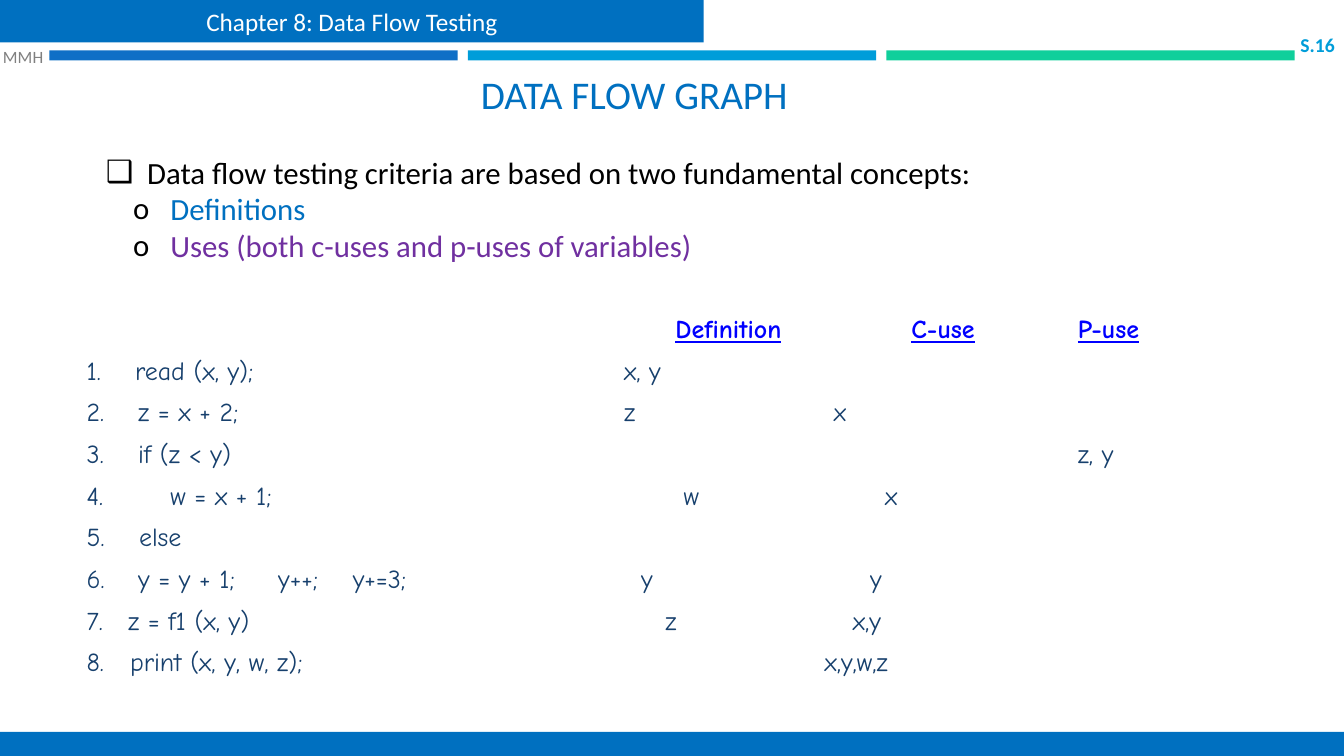
from lxml import etree
from pptx import Presentation
from pptx.dml.color import RGBColor
from pptx.enum.shapes import MSO_SHAPE
from pptx.enum.text import MSO_ANCHOR, MSO_AUTO_SIZE, PP_ALIGN
from pptx.oxml.ns import qn
from pptx.util import Inches, Pt

BLUE = RGBColor(0x00, 0x70, 0xC0)
DEEP_BLUE = RGBColor(0x0F, 0x6F, 0xC6)
CYAN = RGBColor(0x00, 0x9D, 0xD9)
GREEN = RGBColor(0x10, 0xCF, 0x9B)
NAVY = RGBColor(0x17, 0x40, 0x6D)
LINK_BLUE = RGBColor(0x00, 0x00, 0xFF)
PURPLE = RGBColor(0x70, 0x30, 0xA0)
GRAY = RGBColor(0x80, 0x80, 0x80)
BLACK = RGBColor(0x00, 0x00, 0x00)
WHITE = RGBColor(0xFF, 0xFF, 0xFF)

CONCEPTS = [
    (0, "❑", "Data flow testing criteria are based on two fundamental concepts:", BLACK),
    (1, "o", "Definitions", BLUE),
    (1, "o", "Uses (both c-uses and p-uses of variables)", PURPLE),
]
BULLET_INDENTS = [(0.41, -0.41), (0.64, -0.37)]

# Left edges: number, code (three parts), definition, c-use, p-use
TRACE_EDGES = [0, 0.4, 1.85, 2.6, 5.3, 7.3, 9.8]
FIRST_CODE, LAST_CODE = 1, 3
# Each entry: distance from the left of the table, text
TRACE_ROWS = [
    [(5.84, "Definition"), (8.18, "C-use"), (9.83, "P-use")],
    [(0, "1."), (0.48, "read (x, y);"), (5.33, "x, y")],
    [(0, "2."), (0.51, "z = x + 2;"), (5.33, "z"), (7.41, "x")],
    [(0, "3."), (0.51, "if (z < y)"), (9.83, "z, y")],
    [(0, "4."), (0.83, "w = x + 1;"), (5.92, "w"), (7.92, "x")],
    [(0, "5."), (0.52, "else")],
    [(0, "6."), (0.51, "y = y + 1;"), (1.9, "y++;"), (2.64, "y+=3;"),
     (5.5, "y"), (7.77, "y")],
    [(0, "7."), (0.41, "z = f1 (x, y)"), (5.74, "z"), (7.6, "x,y")],
    [(0, "8."), (0.43, "print (x, y, w, z);"), (7.32, "x,y,w,z")],
]


def add_run(paragraph, text, size, color, font="Calibri", bold=False, underline=False):
    run = paragraph.add_run()
    run.text = text
    run.font.name = font
    run.font.size = Pt(size)
    run.font.color.rgb = color
    run.font.bold = bold
    run.font.underline = underline


def set_frame(shape, anchor, wrap=True, inset_x=0.0, inset_y=0.0):
    frame = shape.text_frame
    frame.auto_size = MSO_AUTO_SIZE.NONE
    frame.word_wrap = wrap
    frame.vertical_anchor = anchor
    frame.margin_left = frame.margin_right = Inches(inset_x)
    frame.margin_top = frame.margin_bottom = Inches(inset_y)
    return frame


def place(shape, left, top, width, height):
    shape.left, shape.top = Inches(left), Inches(top)
    shape.width, shape.height = Inches(width), Inches(height)


def add_bar(slide, left, top, width, height, color):
    bar = slide.shapes.add_shape(MSO_SHAPE.RECTANGLE, Inches(left), Inches(top),
                                 Inches(width), Inches(height))
    bar.shadow.inherit = False
    bar.fill.solid()
    bar.fill.fore_color.rgb = color
    bar.line.fill.background()
    return bar


def add_label(slide, box, text, size, color, align, bold=False):
    label = slide.shapes.add_textbox(*map(Inches, box))
    paragraph = set_frame(label, MSO_ANCHOR.MIDDLE, wrap=False).paragraphs[0]
    paragraph.alignment = align
    add_run(paragraph, text, size, color, bold=bold)


def add_header(slide, left, top):
    chapter = add_bar(slide, left, top, 6.98, 0.42, BLUE)
    paragraph = set_frame(chapter, MSO_ANCHOR.MIDDLE).paragraphs[0]
    paragraph.alignment = PP_ALIGN.CENTER
    add_run(paragraph, "Chapter 8: Data Flow Testing", 18, WHITE)
    for index, color in enumerate((DEEP_BLUE, CYAN, GREEN)):
        add_bar(slide, left + 0.49 + index * 4.15, top + 0.5, 4.05, 0.1, color)
    add_label(slide, (left + 0.03, top + 0.41, 0.46, 0.3), "MMH", 12.3, GRAY,
              PP_ALIGN.LEFT)
    add_label(slide, (left + 12.74, top + 0.33, 0.5, 0.22), "S.16", 14, CYAN,
              PP_ALIGN.RIGHT, bold=True)


def fill_title(title, left, top, width, height):
    place(title, left, top, width, height)
    paragraph = set_frame(title, MSO_ANCHOR.BOTTOM, inset_x=0.1, inset_y=0.05).paragraphs[0]
    paragraph.alignment = PP_ALIGN.CENTER
    add_run(paragraph, "DATA FLOW GRAPH", 28, BLUE)


def set_bullet(paragraph, char, margin, indent):
    properties = paragraph._p.get_or_add_pPr()
    properties.set("marL", str(Inches(margin)))
    properties.set("indent", str(Inches(indent)))
    bullet_color = etree.SubElement(properties, qn("a:buClr"))
    etree.SubElement(bullet_color, qn("a:srgbClr"), val=str(BLACK))
    etree.SubElement(properties, qn("a:buFont"), typeface="Calibri")
    etree.SubElement(properties, qn("a:buChar"), char=char)


def fill_concepts(body, left, top, width, height):
    place(body, left, top, width, height)
    frame = set_frame(body, MSO_ANCHOR.TOP, inset_x=0.1, inset_y=0.05)
    for index, (level, char, text, color) in enumerate(CONCEPTS):
        paragraph = frame.add_paragraph() if index else frame.paragraphs[0]
        paragraph.level = level
        set_bullet(paragraph, char, *BULLET_INDENTS[level])
        paragraph.space_before = paragraph.space_after = Pt(0)
        add_run(paragraph, text, 22, color)


def column_at(position):
    return max(i for i, edge in enumerate(TRACE_EDGES) if edge <= position)


def clear_cell(cell):
    cell.fill.background()
    cell.vertical_anchor = MSO_ANCHOR.MIDDLE
    cell.margin_left = cell.margin_right = 0
    cell.margin_top = cell.margin_bottom = 0


def add_trace(slide, left, top, width, height):
    """Numbered code lines with the variables defined and used on each."""
    table = slide.shapes.add_table(len(TRACE_ROWS), len(TRACE_EDGES), Inches(left),
                                   Inches(top), Inches(width), Inches(height)).table
    table.first_row = table.horz_banding = False
    for column, start, end in zip(table.columns, TRACE_EDGES, TRACE_EDGES[1:] + [width]):
        column.width = Inches(end - start)
    for cell in table.iter_cells():
        clear_cell(cell)
    for row, entries in enumerate(TRACE_ROWS):
        is_header = row == 0
        used = {column_at(position) for position, _ in entries}
        if LAST_CODE not in used:
            table.cell(row, FIRST_CODE).merge(table.cell(row, LAST_CODE))
        for position, text in entries:
            column = column_at(position)
            cell = table.cell(row, column)
            cell.margin_left = Inches(position - TRACE_EDGES[column])
            add_run(cell.text_frame.paragraphs[0], text, 18.5,
                    LINK_BLUE if is_header else NAVY, "Comic Neue",
                    bold=is_header, underline=is_header)


def main():
    deck = Presentation()
    deck.slide_width, deck.slide_height = Inches(13.33), Inches(7.5)
    slide = deck.slides.add_slide(deck.slide_layouts.get_by_name("Title and Content"))
    title, concepts = slide.placeholders
    fill_title(title, 0.26, 0.56, 12.06, 0.65)
    fill_concepts(concepts, 0.95, 1.47, 10.36, 1.21)
    add_trace(slide, 0.86, 3.07, 11.2, 3.72)
    add_header(slide, 0, 0)
    add_bar(slide, 0, 7.26, 13.33, 0.24, BLUE)
    deck.save("out.pptx")


if __name__ == "__main__":
    main()
